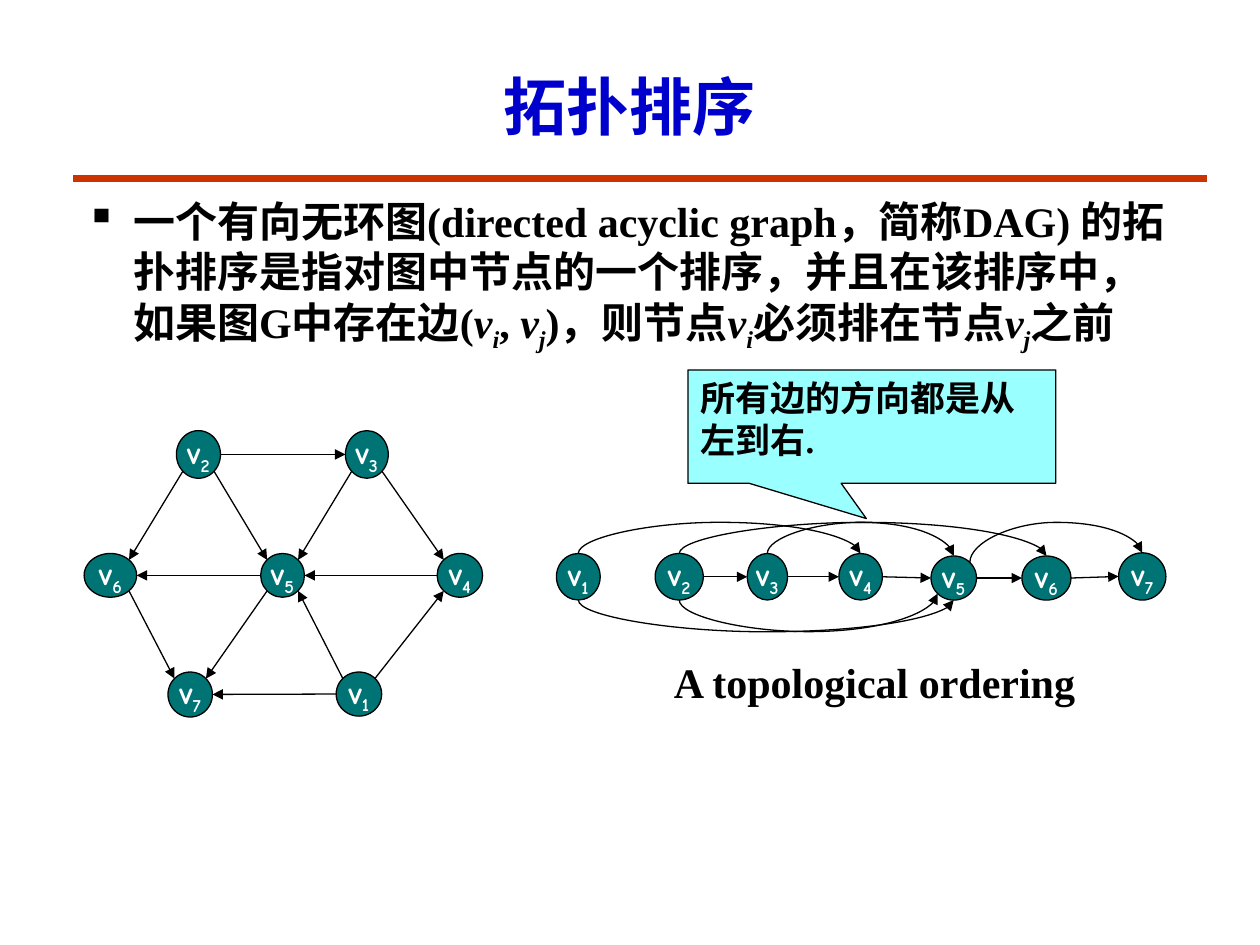
from lxml import etree
from pptx import Presentation
from pptx.dml.color import RGBColor
from pptx.enum.shapes import MSO_CONNECTOR, MSO_SHAPE
from pptx.enum.text import MSO_ANCHOR, PP_ALIGN
from pptx.oxml.ns import qn
from pptx.util import Pt

STRAIGHT = MSO_CONNECTOR.STRAIGHT
OVAL, CALLOUT = MSO_SHAPE.OVAL, MSO_SHAPE.RECTANGULAR_CALLOUT
TOP, MIDDLE = MSO_ANCHOR.TOP, MSO_ANCHOR.MIDDLE
LEFT, CENTER = PP_ALIGN.LEFT, PP_ALIGN.CENTER

COLORS = {"title": "0000CC", "rule": "CC3300", "text": "000000", "line": "000000",
          "node": "007374", "label": "FFFFFF", "callout": "99FFFF"}
SERIF, COMIC = "Times New Roman", "Comic Neue"

# Points on an ellipse as fractions of its width and height from the centre
D = 0.354
SITES = {"n": (0, -0.5), "ne": (D, -D), "e": (0.5, 0), "se": (D, D),
         "s": (0, 0.5), "sw": (-D, D), "w": (-0.5, 0), "nw": (-D, -D)}

# node number: (left, top, width, height)
GRAPH_NODES = {
    2: (100.8, 246.1, 25.2, 27.2), 3: (197.4, 246.1, 24.5, 27.2),
    6: (48.1, 316.3, 30, 25), 5: (149, 316.3, 25, 25), 4: (249.8, 316.3, 26, 25),
    7: (96, 384, 25.4, 25.7), 1: (192.1, 384, 26, 25.2)}
GRAPH_EDGES = [(2, "sw", 6, "ne"), (2, "se", 5, "nw"), (2, "e", 3, "w"),
               (3, "se", 4, "nw"), (4, "w", 5, "e"), (1, "ne", 4, "sw"),
               (5, "sw", 7, "ne"), (1, "nw", 5, "se"), (1, "w", 7, "e"),
               (6, "se", 7, "nw"), (5, "w", 6, "e"), (3, "sw", 5, "ne")]
ORDER_NODES = {
    1: (318, 316.3, 25, 26.6), 2: (374.4, 316.3, 27.5, 26.6),
    3: (427, 316.3, 23, 26.6), 4: (479.4, 316.3, 24.8, 26.6),
    5: (532, 317.7, 26, 25.2), 6: (584, 317.7, 28, 25.2), 7: (639.2, 315.9, 27, 27)}
ORDER_EDGES = [(i, "e", i + 1, "w") for i in range(2, 7)]
ARC_TOP, ARC_BOTTOM = 298.5, 361
ORDER_ARCS = [(3, "n", 5, "n", ARC_TOP), (2, "s", 5, "sw", ARC_BOTTOM),
              (1, "s", 5, "s", ARC_BOTTOM), (1, "n", 4, "n", ARC_TOP),
              (5, "ne", 7, "n", ARC_TOP), (2, "n", 6, "n", ARC_TOP)]

BODY = [("一个有向无环图(directed acyclic graph，简称DAG) 的拓扑排序是指对图中节点的一个排序，"
         "并且在该排序中，如果图G中存在边(", ""),
        ("v", "i"), ("i", "sub"), (", ", ""), ("v", "i"), ("j", "sub"),
        (")，则节点", ""), ("v", "i"), ("i", "sub"), ("必须排在节点", ""),
        ("v", "i"), ("j", "sub"), ("之前", "")]


def rgb(name):
    return RGBColor.from_string(COLORS[name])


def format_run(r, size, color, font=SERIF):
    r.font.size, r.font.name, r.font.bold = Pt(size), font, True
    r.font.color.rgb = rgb(color)


def subscript(r):
    r.font._element.set("baseline", "-25000")


def add_text(slide, box, text, size, color, align=LEFT, anchor=TOP, wrap=True):
    sp = slide.shapes.add_textbox(*map(Pt, box))
    tf = sp.text_frame
    tf.word_wrap, tf.vertical_anchor = wrap, anchor
    p = tf.paragraphs[0]
    p.text, p.alignment = text, align
    format_run(p.runs[0], size, color)


def add_body(slide):
    sp = slide.shapes.add_textbox(Pt(42), Pt(108), Pt(636), Pt(120))
    tf = sp.text_frame
    tf.word_wrap = True
    p = tf.paragraphs[0]
    pPr = p._p.get_or_add_pPr()
    pPr.set("marL", str(Pt(27)))
    pPr.set("indent", str(-Pt(27)))
    etree.SubElement(pPr, qn("a:buChar")).set("char", "▪")
    for text, style in BODY:
        r = p.add_run()
        r.text = text
        format_run(r, 24, "text")
        r.font.italic = style != ""
        if style == "sub":
            subscript(r)


def add_filled(slide, kind, box, fill):
    sp = slide.shapes.add_shape(kind, *map(Pt, box))
    sp.shadow.inherit = False
    sp.fill.solid()
    sp.fill.fore_color.rgb = rgb(fill)
    sp.line.color.rgb = rgb("line")
    sp.line.width = Pt(0.75)
    return sp


def add_node(slide, number, box):
    tf = add_filled(slide, OVAL, box, "node").text_frame
    tf.word_wrap, tf.vertical_anchor = False, MIDDLE
    p = tf.paragraphs[0]
    p.alignment = CENTER
    for text in ("v", str(number)):
        r = p.add_run()
        r.text = text
        format_run(r, 18, "label", COMIC)
    subscript(p.runs[1])


def add_callout(slide):
    sp = add_filled(slide, CALLOUT, (393.1, 211.4, 210.2, 64.8), "callout")
    sp.adjustments[0], sp.adjustments[1] = -0.015, 0.811
    tf = sp.text_frame
    tf.word_wrap, tf.vertical_anchor = True, TOP
    p = tf.paragraphs[0]
    p.text, p.alignment = "所有边的方向都是从左到右.", LEFT
    format_run(p.runs[0], 20, "text")


def site_point(box, site):
    left, top, width, height = box
    dx, dy = SITES[site]
    return left + width * (0.5 + dx), top + height * (0.5 + dy)


def add_arrowhead(s):
    ln = s.line._get_or_add_ln()
    etree.SubElement(ln, qn("a:tailEnd")).set("type", "triangle")


def add_line(slide, start, end, color="line", width=0.75):
    s = slide.shapes.add_connector(STRAIGHT, *map(Pt, start + end))
    s.line.color.rgb = rgb(color)
    s.line.width = Pt(width)
    etree.SubElement(s._element.spPr, qn("a:effectLst"))
    return s


def add_arc(slide, start, end, peak):
    """Arrow that bends out to the height peak, halfway between its ends."""
    (x1, y1), (x2, y2) = start, end
    mid, quarter = (x1 + x2) / 2, (x2 - x1) / 4
    builder = slide.shapes.build_freeform(Pt(x1), Pt(y1))
    builder.add_line_segments([(Pt(mid), Pt(peak)), (Pt(x2), Pt(y2))], close=False)
    sp = builder.convert_to_shape()
    sp.shadow.inherit = False
    sp.fill.background()
    sp.line.color.rgb = rgb("line")
    sp.line.width = Pt(0.75)
    add_arrowhead(sp)
    curves = [[(x1, (y1 + peak) / 2), (mid - quarter, peak), (mid, peak)],
              [(mid + quarter, peak), (x2, (y2 + peak) / 2), (x2, y2)]]
    top = min(y1, y2, peak)
    segments = list(sp._element.iter(qn("a:lnTo")))
    for segment, curve in zip(segments, curves):
        bezier = etree.Element(qn("a:cubicBezTo"))
        for x, y in curve:
            pt = etree.SubElement(bezier, qn("a:pt"))
            pt.set("x", str(Pt(x - x1)))
            pt.set("y", str(Pt(y - top)))
        segment.getparent().replace(segment, bezier)


def add_graph(slide, nodes, edges):
    for number, box in nodes.items():
        add_node(slide, number, box)
    for a, site_a, b, site_b in edges:
        add_arrowhead(add_line(slide, site_point(nodes[a], site_a),
                               site_point(nodes[b], site_b)))


def main():
    prs = Presentation()
    prs.slide_width, prs.slide_height = Pt(720), Pt(540)
    slide = prs.slides.add_slide(prs.slide_layouts[6])
    add_line(slide, (42, 102), (690, 102), "rule", 4.5)
    add_text(slide, (54, 24, 612, 72), "拓扑排序", 36, "title", CENTER, MIDDLE)
    add_body(slide)
    add_text(slide, (378, 371.5, 246, 36.5), "A topological ordering", 24, "text", wrap=False)
    add_graph(slide, GRAPH_NODES, GRAPH_EDGES)
    add_graph(slide, ORDER_NODES, ORDER_EDGES)
    for a, site_a, b, site_b, peak in ORDER_ARCS:
        add_arc(slide, site_point(ORDER_NODES[a], site_a),
                site_point(ORDER_NODES[b], site_b), peak)
    add_callout(slide)
    prs.save("out.pptx")


if __name__ == "__main__":
    main()
